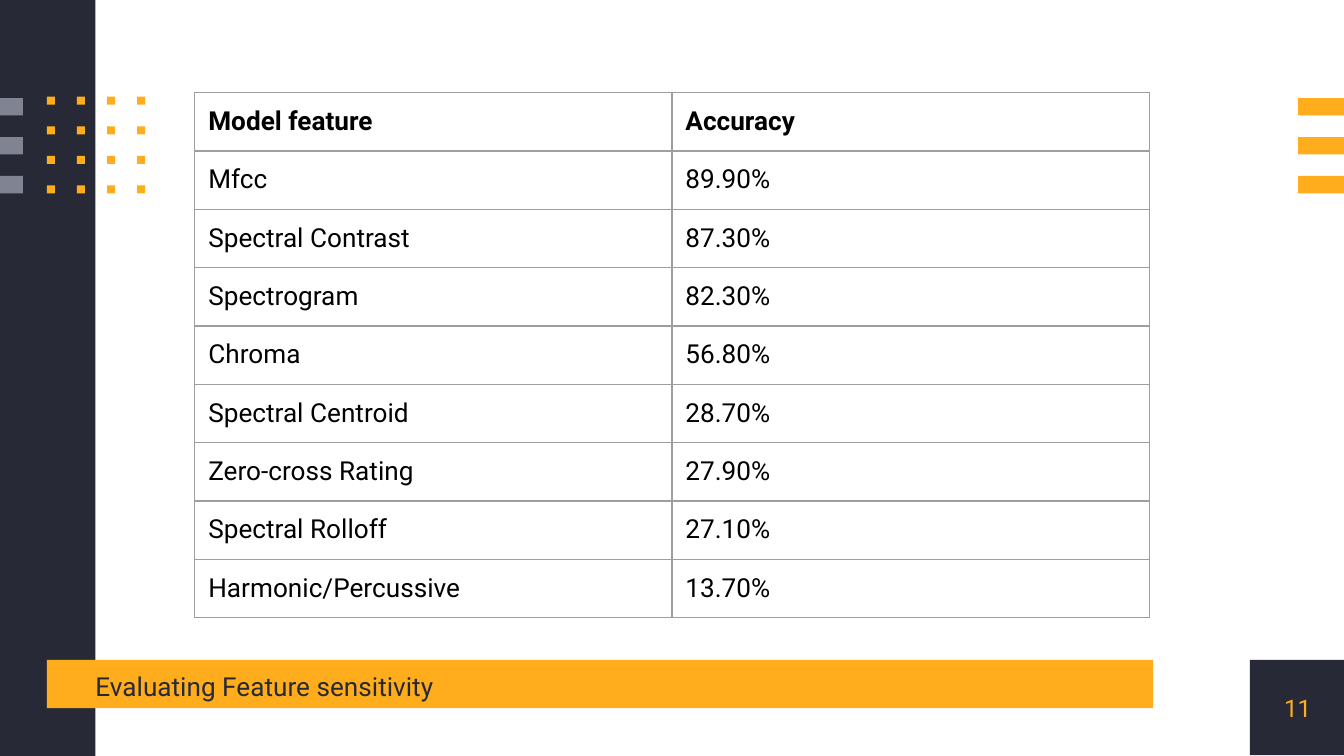
from pptx import Presentation
from pptx.dml.color import RGBColor
from pptx.enum.shapes import MSO_SHAPE as Shape
from pptx.enum.text import MSO_ANCHOR as Anchor, PP_ALIGN as Align
from pptx.util import Inches, Pt
from lxml.etree import SubElement
from pptx.oxml.ns import qn

WIDE = 10
HIGH = WIDE * 9 / 16
DARK, GOLD, GRAY = "272A36", "FFAD1D", "808392"
BLACK, RULE = "000000", "9E9E9E"

ROWS = [
    ("Model feature", "Accuracy"),
    ("Mfcc", "89.90%"),
    ("Spectral Contrast", "87.30%"),
    ("Spectrogram", "82.30%"),
    ("Chroma", "56.80%"),
    ("Spectral Centroid", "28.70%"),
    ("Zero-cross Rating", "27.90%"),
    ("Spectral Rolloff", "27.10%"),
    ("Harmonic/Percussive", "13.70%"),
]


def color(code):
    return RGBColor.from_string(code)


class Deck:
    font = "Roboto"

    def __init__(self, wide, high):
        self.prs = Presentation()
        self.prs.slide_width = Inches(wide)
        self.prs.slide_height = Inches(high)
        self.slide = self.prs.slides.add_slide(self.prs.slide_layouts[6])

    def rect(self, x, y, w, h, fill):
        box = self.slide.shapes.add_shape(
            Shape.RECTANGLE, Inches(x), Inches(y), Inches(w), Inches(h))
        box.shadow.inherit = False
        box.fill.solid()
        box.fill.fore_color.rgb = color(fill)
        box.line.fill.background()

    def style(self, para, size, code, bold=False):
        for run in para.runs:
            run.font.name = self.font
            run.font.size = Pt(size)
            run.font.bold = bold
            run.font.color.rgb = color(code)

    def text(self, x, y, w, h, words, size, code, align=Align.LEFT):
        box = self.slide.shapes.add_textbox(
            Inches(x), Inches(y), Inches(w), Inches(h))
        frame = box.text_frame
        frame.word_wrap = True
        frame.vertical_anchor = Anchor.MIDDLE
        frame.margin_left = frame.margin_right = 0
        frame.margin_top = frame.margin_bottom = 0
        frame.text = words
        para = frame.paragraphs[0]
        para.alignment = align
        self.style(para, size, code)
        return para

    def border(self, cell, code, width):
        props = cell._tc.get_or_add_tcPr()
        for place, side in enumerate(("lnL", "lnR", "lnT", "lnB")):
            line = SubElement(props, qn(f"a:{side}"), w=str(Pt(width)))
            fill = SubElement(line, qn("a:solidFill"))
            SubElement(fill, qn("a:srgbClr"), val=code)
            # Borders must come before the cell fill
            props.insert(place, line)

    def table(self, x, y, col, row, data):
        count, cols = len(data), len(data[0])
        grid = self.slide.shapes.add_table(
            count, cols, Inches(x), Inches(y),
            Inches(col * cols), Inches(row * count)).table
        grid.horz_banding = False
        for part in grid.columns:
            part.width = Inches(col)
        for r, line in enumerate(data):
            grid.rows[r].height = Inches(row)
            for c, words in enumerate(line):
                cell = grid.cell(r, c)
                cell.fill.background()
                cell.margin_left = cell.margin_right = Inches(0.1)
                cell.margin_top = cell.margin_bottom = Inches(0.1)
                cell.text_frame.text = words
                self.style(cell.text_frame.paragraphs[0], 14, BLACK, r == 0)
                self.border(cell, RULE, 0.75)


def main():
    deck = Deck(WIDE, HIGH)

    # Page corner, side panel and title bar
    deck.rect(9.3, 4.91, 0.71, 0.71, DARK)
    deck.rect(0, 0, 0.71, HIGH, DARK)
    deck.rect(0.35, 4.91, 8.23, 0.36, GOLD)

    # Stripes at both edges
    for i in range(3):
        y = 0.73 + 0.29 * i
        deck.rect(0, y, 0.17, 0.13, GRAY)
        deck.rect(9.66, y, 0.34, 0.13, GOLD)

    # Dot grid
    for r in range(4):
        for c in range(4):
            deck.rect(0.35 + 0.67 * c / 3, 0.72 + 0.22 * r, 0.06, 0.06, GOLD)

    # Title and page number
    title = deck.text(0.71, 4.91, 7.87, 0.36,
                      "Evaluating Feature sensitivity", 14, DARK)
    title.line_spacing = 1.15
    title.space_before = Pt(3.6)
    deck.text(9.3, 4.91, 0.71, 0.71, "11", 13, GOLD, Align.CENTER)

    # Accuracy table
    deck.table(1.45, 0.69, 3.55, 0.42, ROWS)

    deck.prs.save("out.pptx")


if __name__ == "__main__":
    main()
